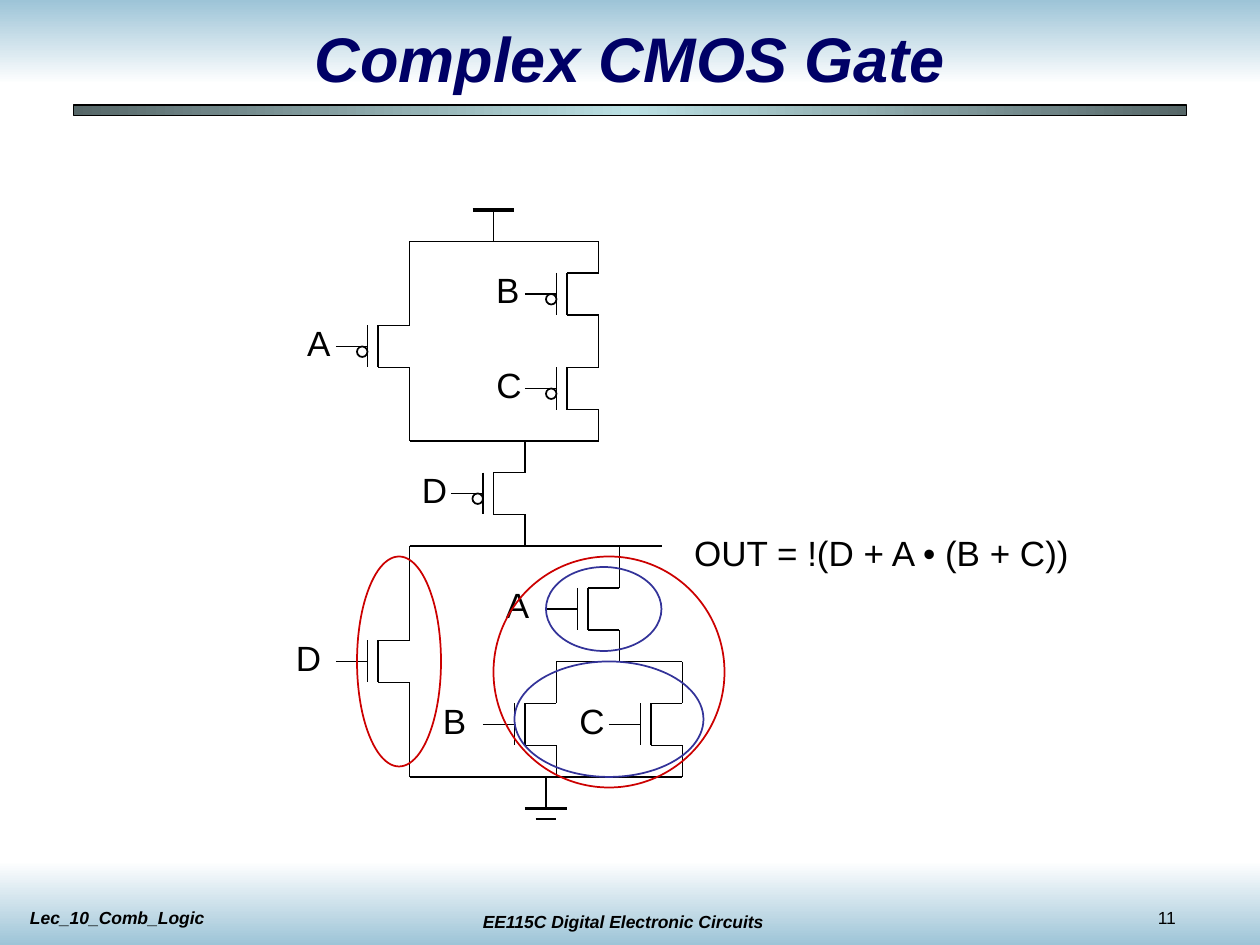
from copy import deepcopy

from lxml import etree
from pptx import Presentation
from pptx import util as u
from pptx.dml.color import RGBColor
from pptx.enum import shapes, text
from pptx.oxml.ns import qn

COLOURS = {
    "ink": "000000",
    "title": "000066",
    "sky": "9DC4D7",
    "white": "FFFFFF",
    "slate": "566768",
    "aqua": "BBE0E3",
    "red": "CC0000",
    "blue": "333399",
}
FONT = "Arial"
LABEL_WIDTHS = {"A": 27.5, "B": 27.5, "C": 29, "D": 29}
THICK = 2.25


def colour(name):
    return RGBColor.from_string(COLOURS[name])


def add_band(slide, left, top, width, height, stops, angle, outline=None):
    band = slide.shapes.add_shape(
        shapes.MSO_SHAPE.RECTANGLE, u.Pt(left), u.Pt(top), u.Pt(width), u.Pt(height))
    band.shadow.inherit = False
    band.fill.gradient()
    band.fill.gradient_angle = angle
    stop_list = band._element.spPr.find(".//" + qn("a:gsLst"))
    while len(stop_list) < len(stops):
        stop_list.append(deepcopy(stop_list[-1]))
    for index, (stop, name) in enumerate(zip(band.fill.gradient_stops, stops)):
        stop.position = index / (len(stops) - 1)
        stop.color.rgb = colour(name)
    if outline:
        band.line.color.rgb = colour(outline)
        band.line.width = u.Pt(0.75)
    else:
        band.line.fill.background()


def add_words(parent, words, left, top, width, height, size, name="ink",
              strong=False, align=text.PP_ALIGN.LEFT, wrap=True,
              anchor=text.MSO_ANCHOR.TOP):
    box = parent.shapes.add_textbox(u.Pt(left), u.Pt(top), u.Pt(width), u.Pt(height))
    frame = box.text_frame
    frame.text = words
    frame.word_wrap = wrap
    frame.vertical_anchor = anchor
    paragraph = frame.paragraphs[0]
    paragraph.alignment = align
    font = paragraph.runs[0].font
    font.name, font.size = FONT, u.Pt(size)
    font.bold = font.italic = strong
    font.color.rgb = colour(name)


def add_wire(parent, x1, y1, x2, y2, weight=1):
    wire = parent.shapes.add_connector(
        shapes.MSO_CONNECTOR.STRAIGHT, u.Pt(x1), u.Pt(y1), u.Pt(x2), u.Pt(y2))
    wire.line.color.rgb = colour("ink")
    wire.line.width = u.Pt(weight)
    etree.SubElement(wire._element.spPr, qn("a:effectLst"))


def add_ring(parent, left, top, width, height, name):
    ring = parent.shapes.add_shape(
        shapes.MSO_SHAPE.OVAL, u.Pt(left), u.Pt(top), u.Pt(width), u.Pt(height))
    ring.shadow.inherit = False
    ring.fill.background()
    ring.line.color.rgb = colour(name)
    ring.line.width = u.Pt(1)


def add_transistor(parent, signal, x, y, label_left, is_pmos):
    channel, gate, bottom = x - 18, x - 24, y + 24
    add_wire(parent, channel, y, x, y)
    add_wire(parent, channel, y, channel, bottom)
    add_wire(parent, channel, bottom, x, bottom)
    add_wire(parent, gate, y, gate, bottom)
    add_wire(parent, x, bottom, x, bottom + 18)
    add_wire(parent, gate - 18, y + 12, gate, y + 12)
    if is_pmos:
        add_wire(parent, x, y - 18, x, y)
        add_ring(parent, gate - 6, y + 12, 6, 6, "ink")
    add_words(parent, signal, label_left, y - 6, LABEL_WIDTHS[signal], 32, 20, wrap=False)


def add_network(slide, transistors, wires, is_pmos):
    network = slide.shapes.add_group_shape()
    for signal, x, y, label_left in transistors:
        add_transistor(network, signal, x, y, label_left, is_pmos)
    for wire in wires:
        add_wire(network, *wire)


def add_frame(slide):
    add_band(slide, 0, 0, 720, 48, ["sky", "white"], 270)
    add_band(slide, 0, 492, 720, 48, ["white", "sky"], 270)
    add_band(slide, 42, 60, 636, 6, ["slate", "aqua", "slate"], 0, "ink")
    add_words(slide, "Complex CMOS Gate", 54, 12, 612, 42, 36, "title", True,
              text.PP_ALIGN.CENTER, anchor=text.MSO_ANCHOR.MIDDLE)
    add_words(slide, "Lec_10_Comb_Logic", 10, 515, 204, 19.5, 10, strong=True)
    add_words(slide, "EE115C Digital Electronic Circuits", 254, 517, 204, 19.5, 10,
              strong=True, align=text.PP_ALIGN.CENTER)
    add_words(slide, "11", 654.5, 515, 60, 19.5, 10)


def add_pull_up(slide):
    add_network(slide, [("D", 300, 270, 234)], [], True)
    add_network(slide, [("A", 234, 186, 168.5)],
                [(234, 222, 234, 252), (234, 138, 234, 174)], True)
    add_network(slide, [("B", 342, 156, 276.5), ("C", 342, 210, 276.5)],
                [(234, 252, 342, 252), (234, 138, 342, 138),
                 (282, 120, 282, 138), (270, 120, 294, 120, THICK)], True)


def add_pull_down(slide):
    transistors = [("D", 234, 366, 162), ("A", 354, 336, 282),
                   ("B", 318, 402, 246), ("C", 390, 402, 324)]
    wires = [
        (234, 312, 378, 312), (234, 312, 234, 366), (354, 312, 354, 336),
        (318, 378, 390, 378), (318, 378, 318, 402), (390, 378, 390, 402),
        (234, 390, 234, 444), (234, 444, 390, 444), (312, 444, 312, 462),
        (300, 462, 324, 462, THICK), (306, 468, 318, 468),
    ]
    add_network(slide, transistors, wires, False)


def main():
    deck = Presentation()
    deck.slide_width, deck.slide_height = u.Pt(720), u.Pt(540)
    slide = deck.slides.add_slide(deck.slide_layouts[6])
    add_frame(slide)
    add_words(slide, "OUT = !(D + A • (B + C))", 389.5, 300, 231, 32, 20, wrap=False)
    add_pull_down(slide)
    add_pull_up(slide)
    for ring in [(204, 318, 48, 120, "red"), (282, 318, 132, 132, "red"),
                 (312, 324, 66, 48, "blue"), (294, 378, 108, 66, "blue")]:
        add_ring(slide, *ring)
    deck.save("out.pptx")


if __name__ == "__main__":
    main()
